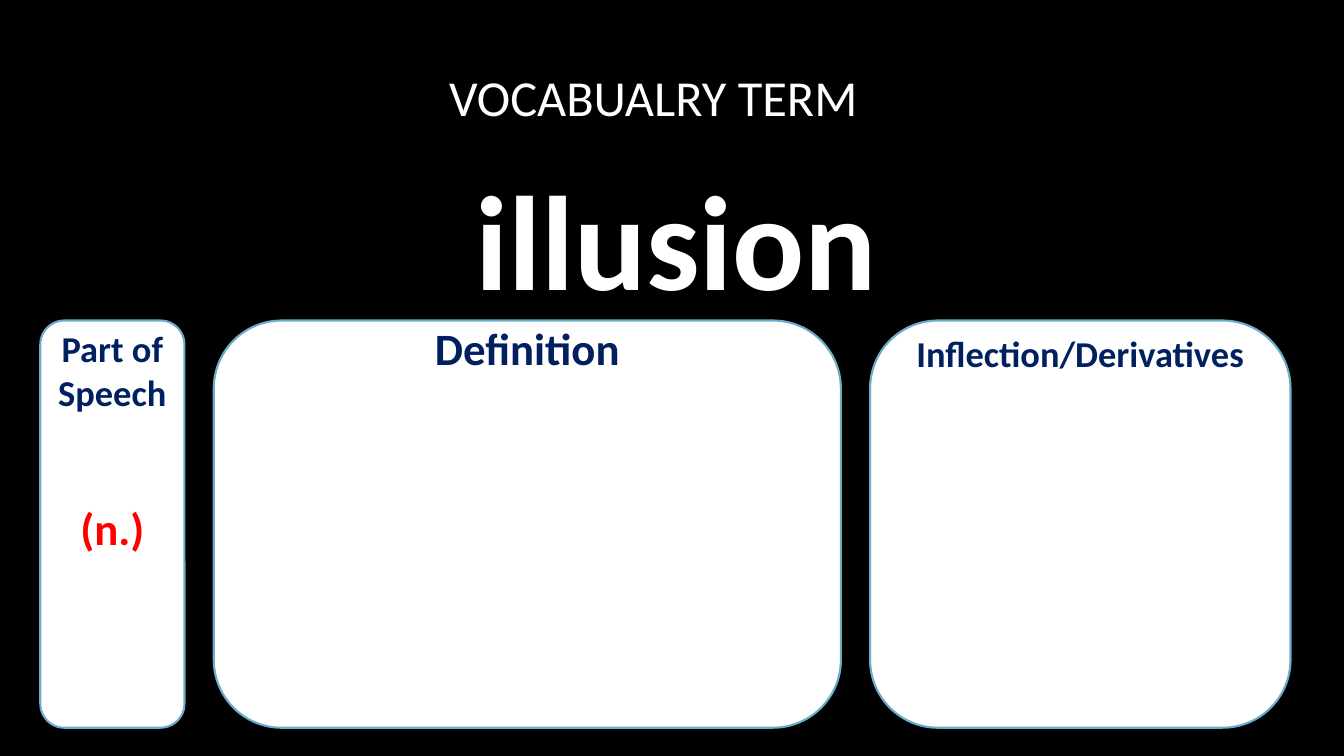
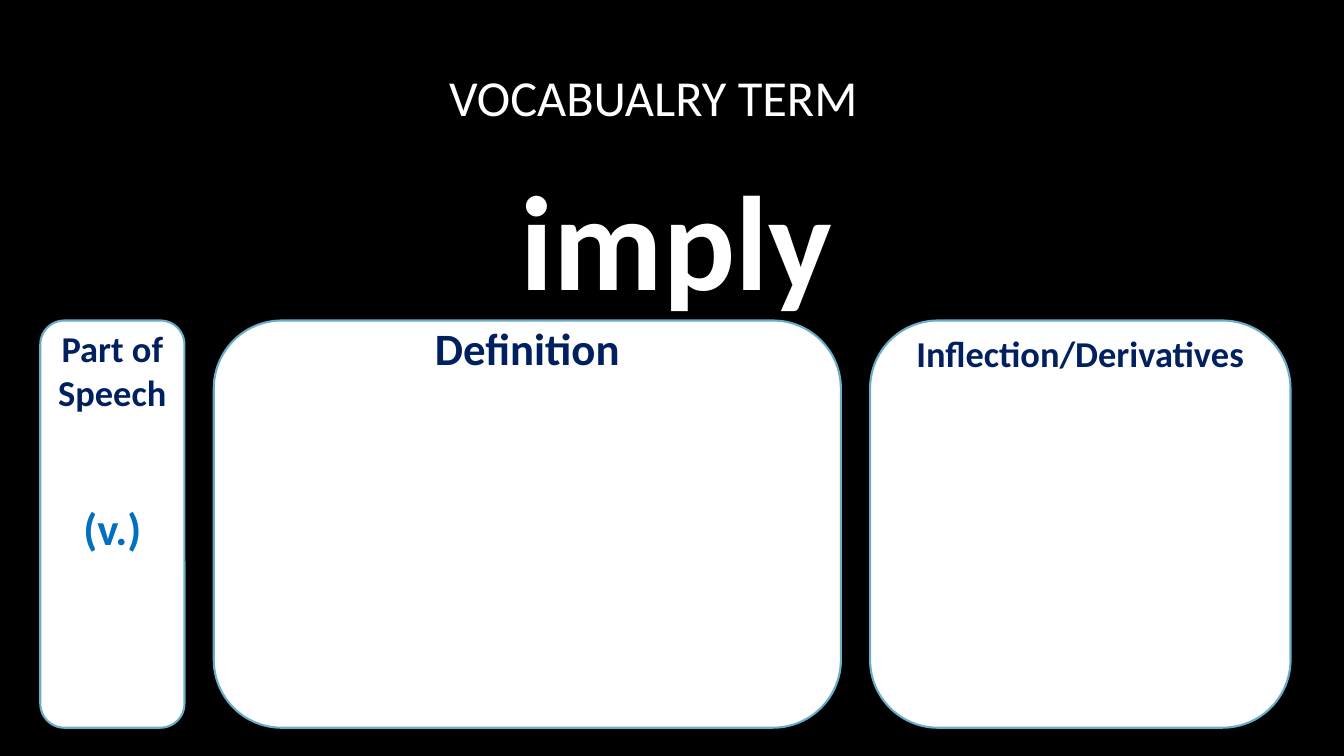
"""Build two vocabulary slides with a term and three study cards."""
from dataclasses import dataclass

from pptx import Presentation
from pptx.dml.color import RGBColor
from pptx.enum import shapes, text
from pptx.util import Inches, Pt

BLACK = RGBColor(0x00, 0x00, 0x00)
WHITE = RGBColor(0xFF, 0xFF, 0xFF)
NAVY = RGBColor(0x00, 0x20, 0x60)
CARD_EDGE = RGBColor(0x6A, 0xAD, 0xC8)
RED = RGBColor(0xFF, 0x00, 0x00)
BLUE = RGBColor(0x00, 0x70, 0xC0)

FONT = "Calibri"
HEADER_LEFT, HEADER_WIDTH = 1.17, 11.08
CARD_LEFT, CARD_TOP, CARD_HEIGHT, CARD_GAP = 0.4, 3.18, 4.04, 0.29


@dataclass(frozen=True)
class Term:
    word: str
    part_of_speech: str
    color: RGBColor


@dataclass(frozen=True)
class Card:
    heading: str
    width: float
    size: int
    bottom_margin: float


TERMS = (Term("illusion", "(n.)", RED), Term("imply", "(v.)", BLUE))
CARDS = (
    Card("Part of Speech", 1.43, 26, 1.66),
    Card("Definition", 6.22, 32, 3.5),
    Card("Inflection/Derivatives", 4.17, 26, 3.4),
)


def write(paragraph, content: str, *, size: int, color: RGBColor,
          bold: bool = True, before: int = 0) -> None:
    """Fill a centred paragraph with formatted text."""
    paragraph.text = content
    paragraph.alignment = text.PP_ALIGN.CENTER
    paragraph.line_spacing = 1.0
    paragraph.space_before = Pt(before)
    font = paragraph.font
    font.name, font.size, font.bold = FONT, Pt(size), bold
    font.color.rgb = color


def place_header(placeholder, top: float, height: float, margin_top: float,
                 margin_right: float = 0.1):
    """Position a header placeholder and return its first paragraph."""
    placeholder.left, placeholder.top = Inches(HEADER_LEFT), Inches(top)
    placeholder.width, placeholder.height = Inches(HEADER_WIDTH), Inches(height)
    frame = placeholder.text_frame
    frame.auto_size = text.MSO_AUTO_SIZE.NONE
    frame.vertical_anchor = text.MSO_ANCHOR.TOP
    frame.margin_top, frame.margin_bottom = Inches(margin_top), 0
    frame.margin_right = Inches(margin_right)
    return frame.paragraphs[0]


def add_card(slide, card: Card, left: float):
    """Draw a rounded card with its heading and return its text frame."""
    shape = slide.shapes.add_shape(
        shapes.MSO_SHAPE.ROUNDED_RECTANGLE, Inches(left), Inches(CARD_TOP),
        Inches(card.width), Inches(CARD_HEIGHT))
    shape.shadow.inherit = False
    shape.fill.solid()
    shape.fill.fore_color.rgb = WHITE
    shape.line.color.rgb = CARD_EDGE
    shape.line.width = Pt(1.5)
    frame = shape.text_frame
    frame.word_wrap = True
    frame.vertical_anchor = text.MSO_ANCHOR.MIDDLE
    frame.margin_top, frame.margin_bottom = 0, Inches(card.bottom_margin)
    write(frame.paragraphs[0], card.heading, size=card.size, color=NAVY)
    return frame


def add_term_slide(presentation, term: Term) -> None:
    """Add one slide for a vocabulary term."""
    slide = presentation.slides.add_slide(presentation.slide_layouts[2])
    title, body = slide.placeholders
    write(place_header(title, 0.46, 0.96, 0.2, margin_right=0.56),
          "VOCABUALRY TERM", size=36, color=WHITE, bold=False)
    write(place_header(body, 1.42, 1.76, 0.13), term.word, size=96, color=WHITE)

    left = CARD_LEFT
    frames = []
    for card in CARDS:
        frames.append(add_card(slide, card, left))
        left += card.width + CARD_GAP
    write(frames[0].add_paragraph(), term.part_of_speech,
          size=32, color=term.color, before=62)


def main() -> None:
    """Create and save the presentation."""
    presentation = Presentation()
    presentation.slide_width, presentation.slide_height = Inches(13.33), Inches(7.5)
    background = presentation.slide_master.background.fill
    background.solid()
    background.fore_color.rgb = BLACK
    for term in TERMS:
        add_term_slide(presentation, term)
    presentation.save("out.pptx")


if __name__ == "__main__":
    main()
